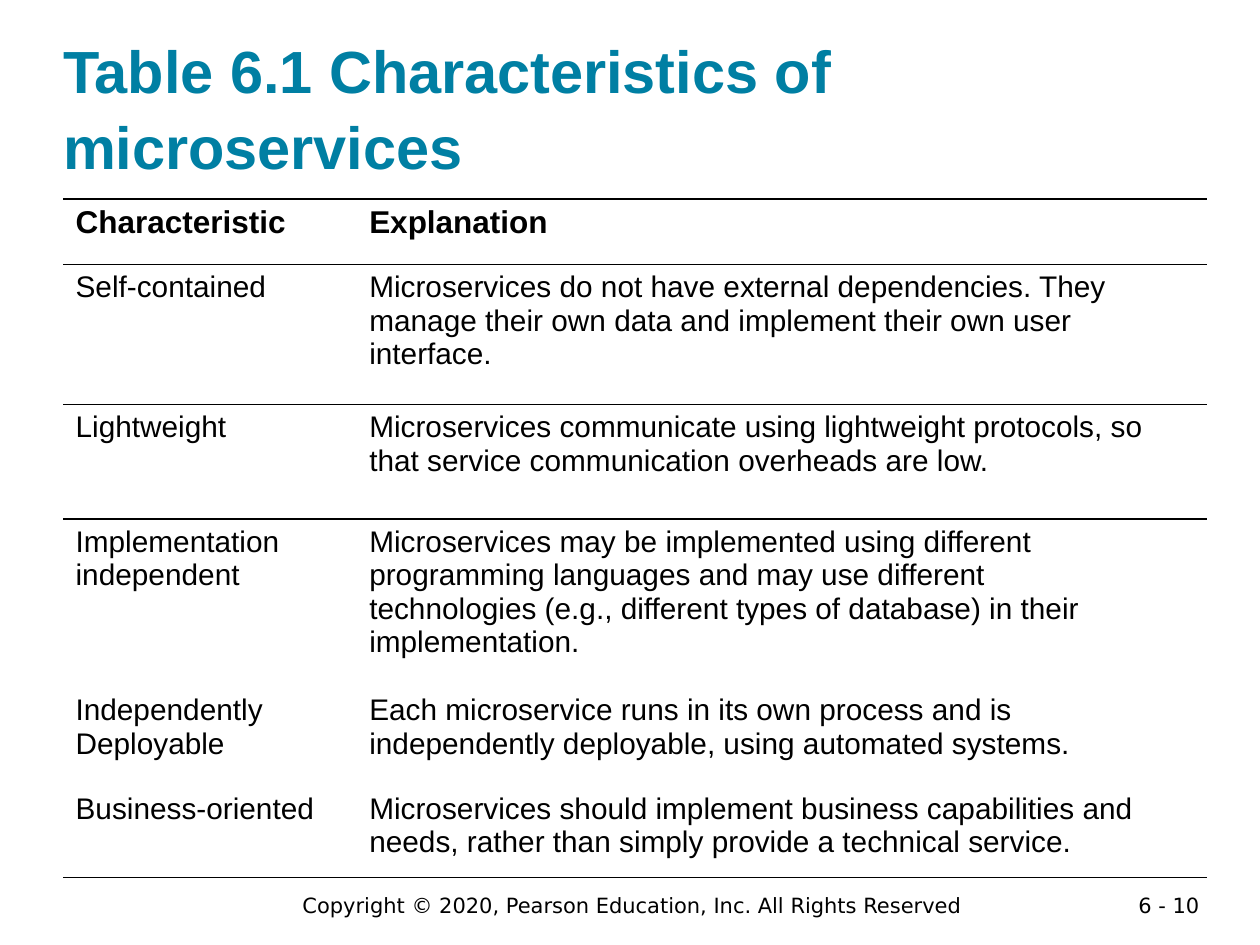
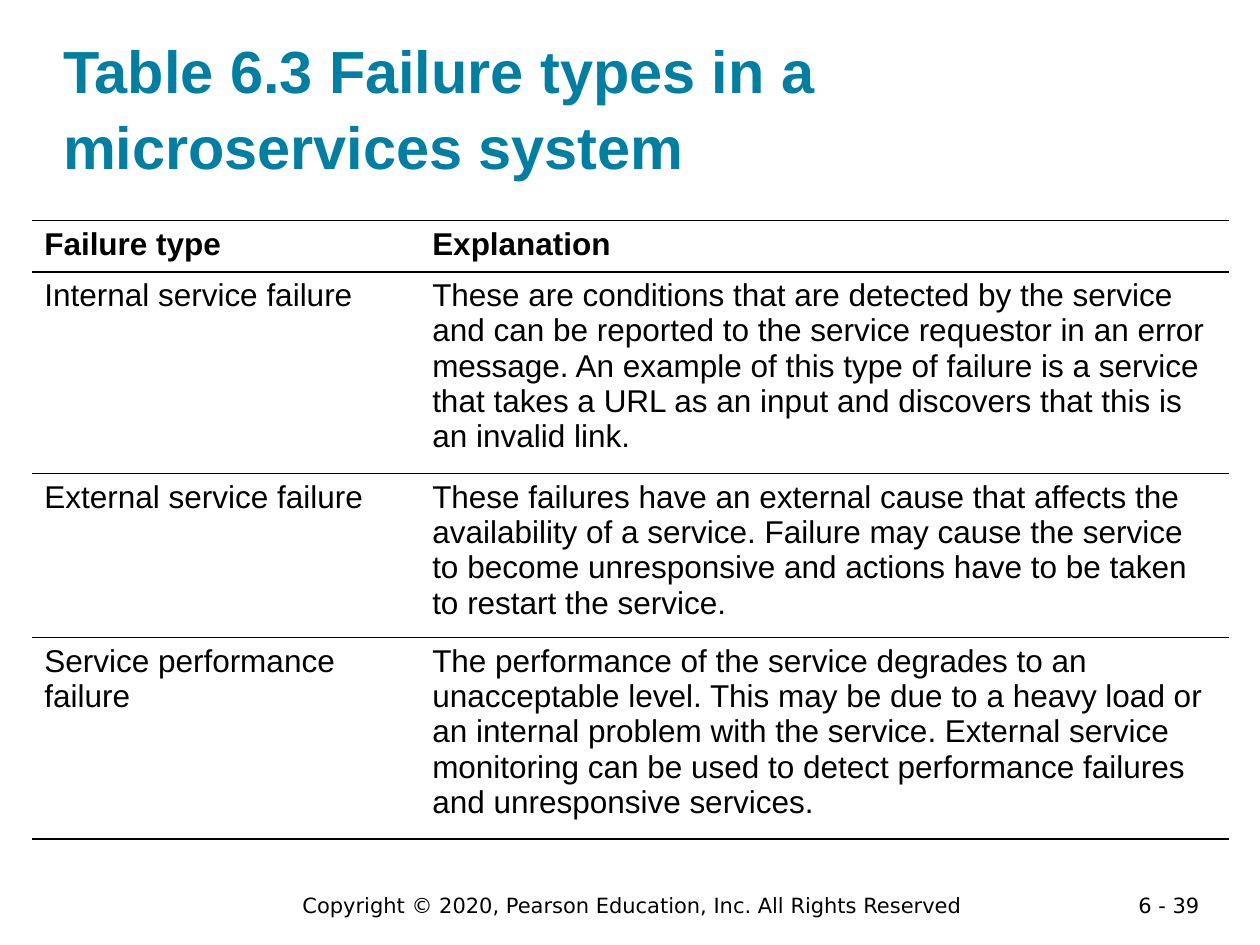
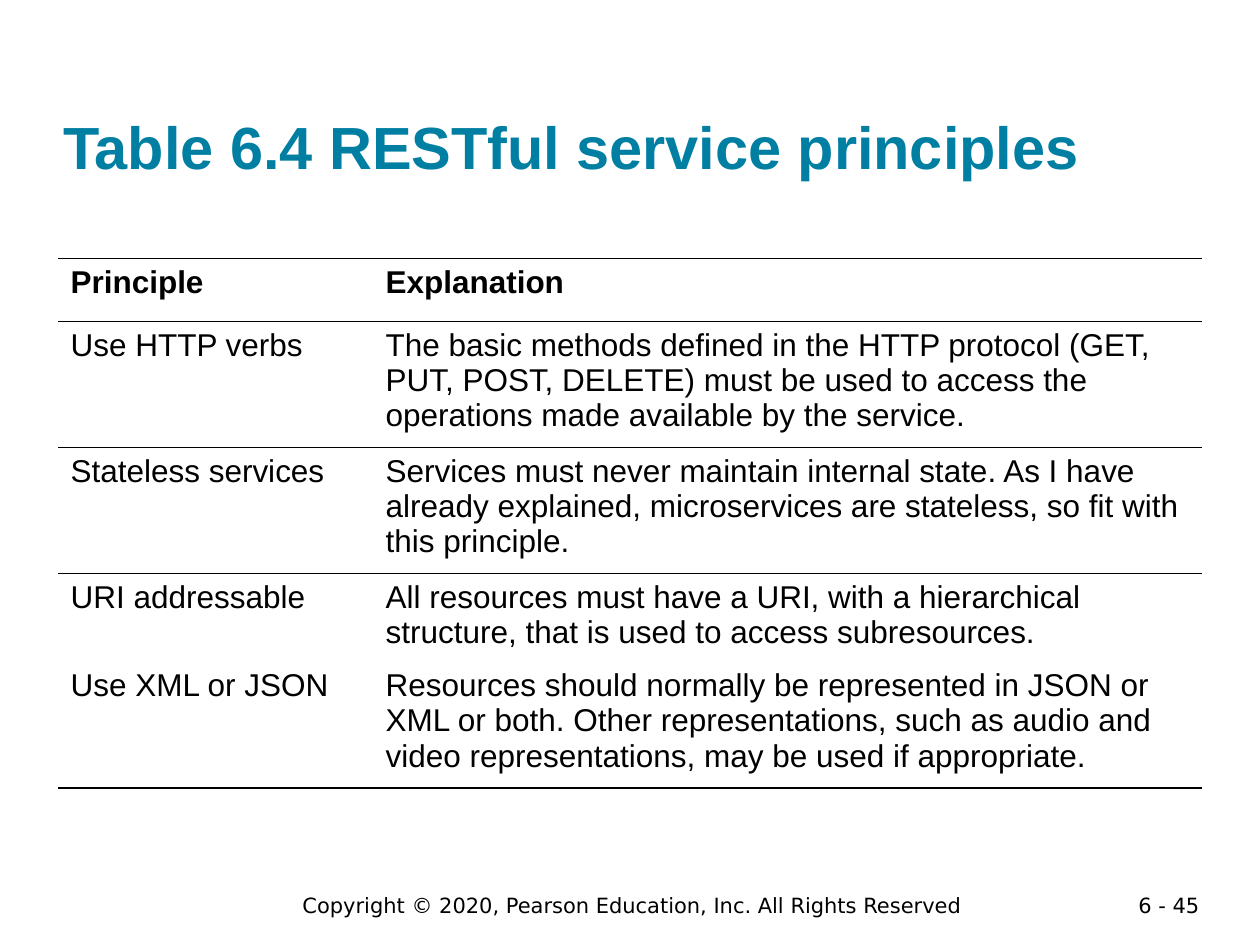
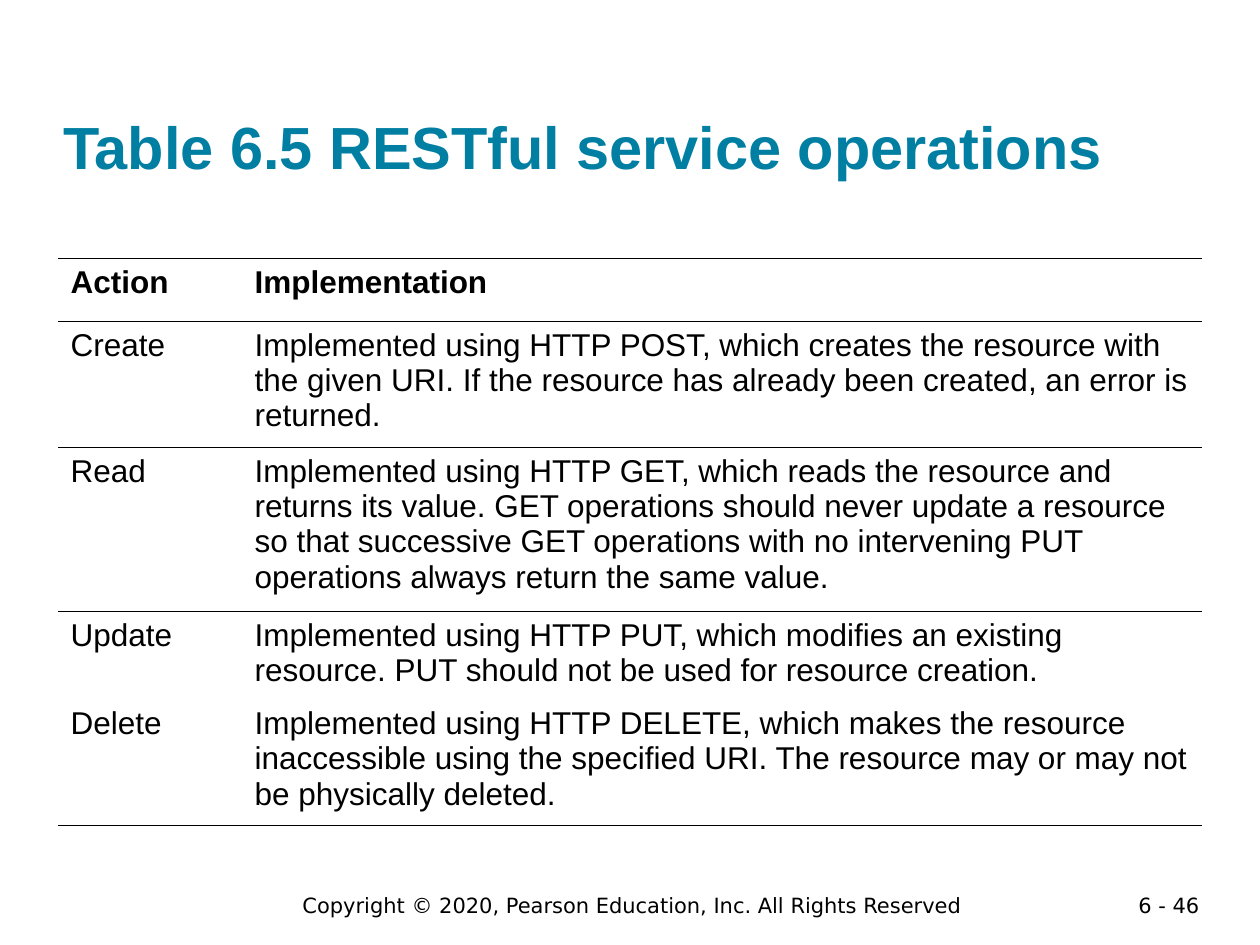
from dataclasses import dataclass

from lxml.etree import SubElement as Sub
from pptx import Presentation
from pptx.dml.color import RGBColor as Rgb
from pptx.enum.text import MSO_ANCHOR as Anchor, MSO_AUTO_SIZE as Fit, PP_ALIGN as Align
from pptx.oxml.ns import qn
from pptx.util import Cm, Pt


@dataclass(frozen=True)
class Theme:
    teal: Rgb = Rgb(0x00, 0x7F, 0xA3)
    ink: Rgb = Rgb(0, 0, 0)
    face: str = "Arial"
    small: str = "DejaVu Sans"
    title: int = 34
    head: int = 18
    foot: int = 12
    rule: int = 1


look = Theme()
plain = "{2D5ABB26-0587-4C30-8999-92F81FD0307C}"  # table style without grid
notice = "Copyright © 2020, Pearson Education, Inc. All Rights Reserved"

pages = [
    dict(
        title="Table 6.1 Characteristics of microservices",
        page="6 - 10", left=1.27, top=4.01, size=17,
        cols=[5.92, 17.15], tall=[1.32, 2.82, 2.31, 3.4, 1.98, 1.85],
        rows=[
            ("Characteristic", "Explanation"),
            ("Self-contained",
             "Microservices do not have external dependencies. They manage their own "
             "data and implement their own user interface."),
            ("Lightweight",
             "Microservices communicate using lightweight protocols, so that service "
             "communication overheads are low."),
            ("Implementation\nindependent",
             "Microservices may be implemented using different\n"
             "programming languages and may use different\n"
             "technologies (e.g., different types of database) in their\n"
             "implementation."),
            ("Independently\nDeployable",
             "Each microservice runs in its own process and is\n"
             "independently deployable, using automated systems."),
            ("Business-oriented",
             "Microservices should implement business capabilities and needs, rather "
             "than simply provide a technical service."),
        ],
    ),
    dict(
        title="Table 6.3 Failure types in a microservices system",
        page="6 - 39", left=0.64, top=4.44, size=18,
        cols=[7.82, 16.31], tall=[1.04] * 4,
        rows=[
            ("Failure type", "Explanation"),
            ("Internal service failure",
             "These are conditions that are detected by the service\n"
             "and can be reported to the service requestor in an error\n"
             "message. An example of this type of failure is a service\n"
             "that takes a URL as an input and discovers that this is\n"
             "an invalid link."),
            ("External service failure",
             "These failures have an external cause that affects the\n"
             "availability of a service. Failure may cause the service to become "
             "unresponsive and actions have to be taken to restart the service."),
            ("Service performance failure",
             "The performance of the service degrades to an\n"
             "unacceptable level. This may be due to a heavy load or\n"
             "an internal problem with the service. External service\n"
             "monitoring can be used to detect performance failures\n"
             "and unresponsive services."),
        ],
    ),
    dict(
        title="Table 6.4 RESTful service principles",
        page="6 - 45", left=1.17, top=5.21, size=18,
        cols=[6.35, 16.71], tall=[1.27] + [1.04] * 4,
        rows=[
            ("Principle", "Explanation"),
            ("Use HTTP verbs",
             "The basic methods defined in the HTTP protocol (GET, PUT, POST, DELETE) "
             "must be used to access the operations made available by the service."),
            ("Stateless services",
             "Services must never maintain internal state. As I have already explained, "
             "microservices are stateless, so fit with this principle."),
            ("URI addressable",
             "All resources must have a URI, with a hierarchical structure, that is used "
             "to access subresources."),
            ("Use XML or JSON",
             "Resources should normally be represented in JSON or XML or both. Other "
             "representations, such as audio and video representations, may be used if "
             "appropriate."),
        ],
    ),
    dict(
        title="Table 6.5 RESTful service operations",
        page="6 - 46", left=1.17, top=5.21, size=18,
        cols=[3.71, 19.35], tall=[1.27] + [1.04] * 4,
        rows=[
            ("Action", "Implementation"),
            ("Create",
             "Implemented using HTTP POST, which creates the resource with the given "
             "URI. If the resource has already been created, an error is returned."),
            ("Read",
             "Implemented using HTTP GET, which reads the resource and returns its "
             "value. GET operations should never update a resource so that successive "
             "GET operations with no intervening PUT operations always return the same "
             "value."),
            ("Update",
             "Implemented using HTTP PUT, which modifies an existing resource. PUT "
             "should not be used for resource creation."),
            ("Delete",
             "Implemented using HTTP DELETE, which makes the resource inaccessible "
             "using the specified URI. The resource may or may not be physically "
             "deleted."),
        ],
    ),
]


def write(frame, text, size, face=look.face, ink=look.ink, bold=False, align=Align.LEFT):
    """Fill a text frame, one paragraph for each line of text."""
    frame.word_wrap = True
    for n, line in enumerate(text.split("\n")):
        para = frame.add_paragraph() if n else frame.paragraphs[0]
        para.alignment = align
        run = para.add_run()
        run.text = line
        font = run.font
        font.name, font.size, font.bold = face, Pt(size), bold
        font.color.rgb = ink


def rule(cell, side):
    """Draw a line on the top (lnT) or bottom (lnB) edge of a cell."""
    edge = Sub(cell._tc.get_or_add_tcPr(), qn("a:" + side), w=str(Pt(look.rule)))
    Sub(Sub(edge, qn("a:solidFill")), qn("a:srgbClr"), val=str(look.ink))


deck = Presentation()
deck.slide_width, deck.slide_height = Cm(25.4), Cm(19.05)

for item in pages:
    slide = deck.slides.add_slide(deck.slide_layouts[5])

    title = slide.shapes.title
    title.left, title.top, title.width, title.height = Cm(1.27), Cm(0.61), Cm(22.86), Cm(3.05)
    frame = title.text_frame
    frame.auto_size = Fit.NONE
    frame.vertical_anchor = Anchor.BOTTOM
    frame.margin_left = frame.margin_right = frame.margin_top = frame.margin_bottom = 0
    write(frame, item["title"], look.title, ink=look.teal, bold=True)
    frame.paragraphs[0].line_spacing = 1.07

    for text, left, width, height, align in [
        (item["page"], 21.89, 2.54, 0.56, Align.RIGHT),
        (notice, 4.17, 17.15, 0.76, Align.CENTER),
    ]:
        box = slide.shapes.add_textbox(Cm(left), Cm(17.86), Cm(width), Cm(height))
        write(box.text_frame, text, look.foot, look.small, align=align)

    rows, cols, tall = item["rows"], item["cols"], item["tall"]
    grid = slide.shapes.add_table(
        len(rows), len(cols), Cm(item["left"]), Cm(item["top"]), Cm(sum(cols)), Cm(sum(tall))
    ).table
    grid.first_row = grid.horz_banding = False
    grid._tbl.tblPr[0].text = plain
    for col, width in zip(grid.columns, cols):
        col.width = Cm(width)
    for r, (row, height) in enumerate(zip(grid.rows, tall)):
        row.height = Cm(height)
        head = r == 0
        for cell, text in zip(row.cells, rows[r]):
            write(cell.text_frame, text, look.head if head else item["size"], bold=head)
            if r < 3:
                rule(cell, "lnT")
            if r < 2 or r == len(rows) - 1:
                rule(cell, "lnB")
            cell.fill.background()

deck.save("out.pptx")
